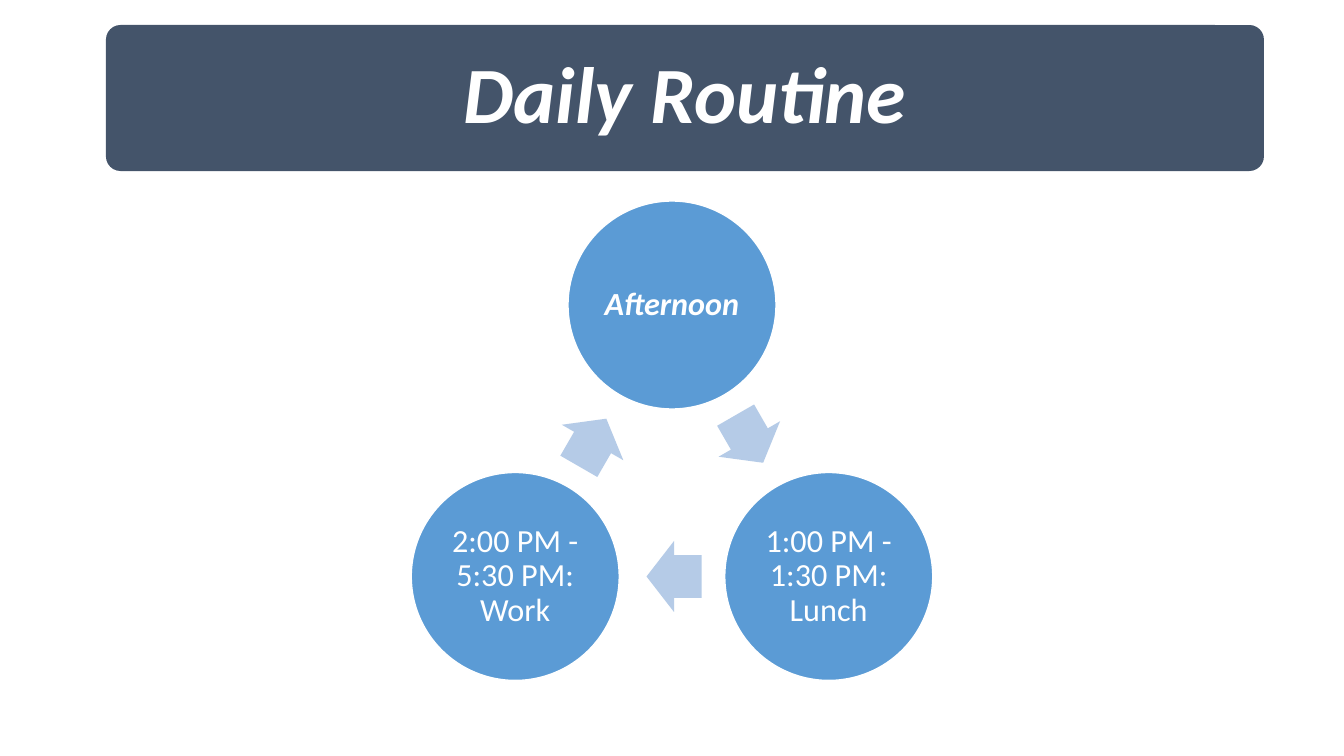
from math import cos, radians, sin

from pptx import Presentation
from pptx.dml.color import RGBColor
from pptx.enum.shapes import MSO_SHAPE
from pptx.enum.text import MSO_ANCHOR, PP_ALIGN
from pptx.util import Emu, Pt

EMU_PER_PX = 914400 / 100.8


def px(length):
    return Emu(round(length * EMU_PER_PX))


def add_block(kind, center_x, center_y, width, height, fill, text="", size=23, inset=3, emphasis=False):
    shape = slide.shapes.add_shape(
        kind, px(center_x - width / 2), px(center_y - height / 2), px(width), px(height)
    )
    shape.shadow.inherit = False
    shape.fill.solid()
    shape.fill.fore_color.rgb = RGBColor.from_string(fill)
    shape.line.fill.background()
    if text:
        frame = shape.text_frame
        frame.word_wrap = True
        frame.vertical_anchor = MSO_ANCHOR.MIDDLE
        frame.margin_left = frame.margin_right = px(inset)
        frame.margin_top = frame.margin_bottom = px(inset)
        paragraph = frame.paragraphs[0]
        paragraph.text = text
        paragraph.alignment = PP_ALIGN.CENTER
        paragraph.line_spacing = 0.9
        paragraph.font.name = "Calibri"
        paragraph.font.size = Pt(size)
        paragraph.font.bold = paragraph.font.italic = emphasis
        paragraph.font.color.rgb = RGBColor.from_string("FFFFFF")
    return shape


presentation = Presentation()
presentation.slide_width = px(1344)
presentation.slide_height = px(756)
slide = presentation.slides.add_slide(presentation.slide_layouts[6])

banner = add_block(
    MSO_SHAPE.ROUNDED_RECTANGLE, 685, 98, 1158, 146, "44546A",
    "Daily Routine", size=57, inset=24, emphasis=True,
)
banner.adjustments[0] = 0.1

cycle_x, cycle_y, cycle_radius = 672, 486, 181
arrow_setback = 2
steps = ["Afternoon", "1:00 PM - 1:30 PM: Lunch", "2:00 PM - 5:30 PM: Work"]

for index, step in enumerate(steps):
    angle = radians(120 * index - 90)
    circle = add_block(
        MSO_SHAPE.OVAL,
        cycle_x + cycle_radius * cos(angle),
        cycle_y + cycle_radius * sin(angle),
        208, 208, "5B9BD5", step, emphasis=index == 0,
    )
    circle.line.color.rgb = RGBColor.from_string("FFFFFF")
    circle.line.width = Pt(1)

    rotation = 60 + 120 * index
    heading = radians(rotation)
    midpoint = radians(rotation - 90)
    arrow = add_block(
        MSO_SHAPE.RIGHT_ARROW,
        cycle_x + cycle_radius / 2 * cos(midpoint) - arrow_setback * cos(heading),
        cycle_y + cycle_radius / 2 * sin(midpoint) - arrow_setback * sin(heading),
        55, 71, "B5CBE7",
    )
    arrow.rotation = rotation
    arrow.adjustments[0] = 0.6
    arrow.adjustments[1] = 0.5

presentation.save("out.pptx")
